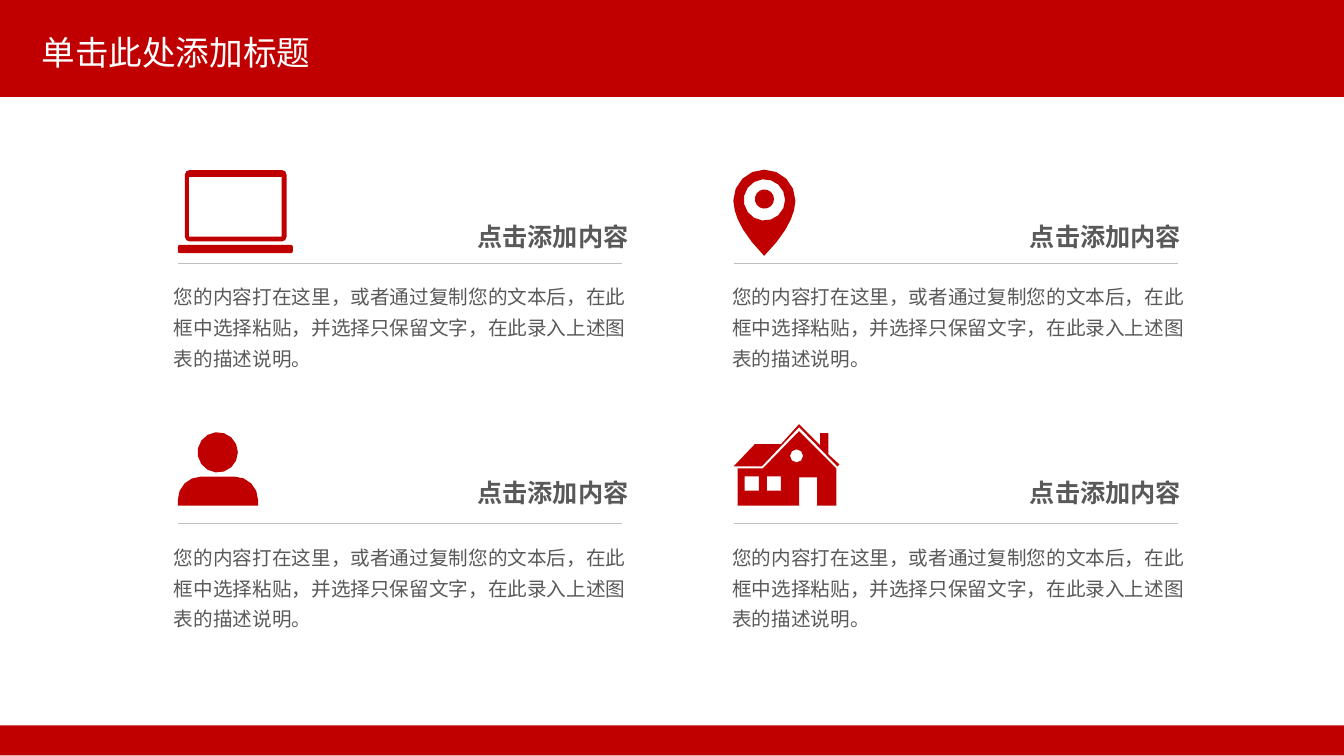
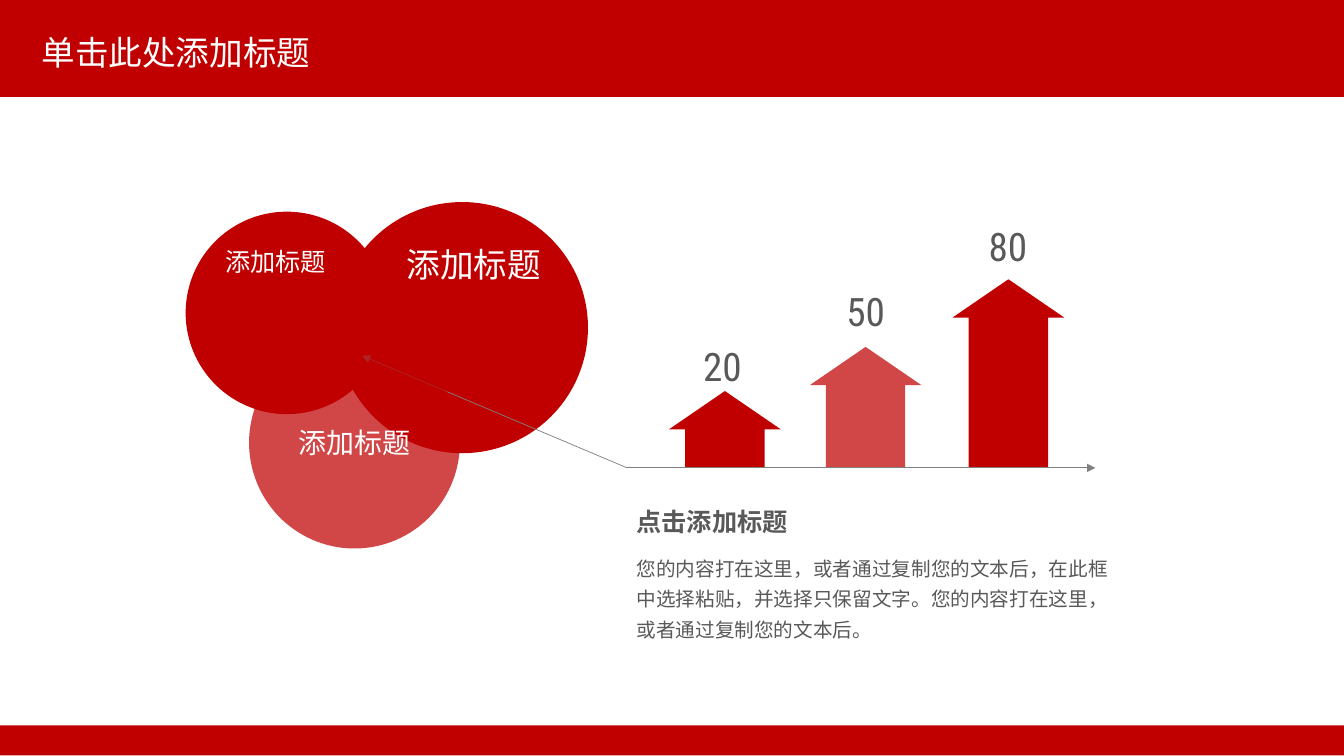
from math import ceil, cos, radians, sin

from lxml.etree import SubElement
from pptx import Presentation
from pptx.dml.color import RGBColor
from pptx.enum.lang import MSO_LANGUAGE_ID as Lang
from pptx.enum.shapes import MSO_CONNECTOR, MSO_SHAPE as Preset
from pptx.enum.text import MSO_ANCHOR as Anchor, MSO_AUTO_SIZE as AutoSize, PP_ALIGN as Align
from pptx.oxml.ns import qn
from pptx.util import Pt

CELL = 76200
COLUMNS, ROWS = 160, 90
RED, WHITE, GREY, RULE, AXIS = "C00000", "FFFFFF", "595959", "BFBFBF", "808080"
CJK, LATIN, DIGITS, ROUND = "Noto Sans CJK SC", "Montserrat", "Roboto Condensed", "TeX Gyre Adventor"
LINE = MSO_CONNECTOR.STRAIGHT
PALE = 72


def draw(slide, kind, box, colour=None, alpha=100):
    lengths = [round(CELL * cells) for cells in box]
    if kind is None:
        return slide.shapes.add_textbox(*lengths)
    if kind is LINE:
        line = slide.shapes.add_connector(LINE, *lengths)
        line.line.color.rgb = RGBColor.from_string(colour)
        line.line.width = Pt(0.5)
        SubElement(line.element.spPr, qn("a:effectLst"))
        return line
    shape = slide.shapes.add_shape(kind, *lengths)
    shape.shadow.inherit = False
    shape.fill.solid()
    shape.fill.fore_color.rgb = RGBColor.from_string(colour)
    shape.line.fill.background()
    if alpha < 100:
        tint = shape.element.spPr.find(".//" + qn("a:srgbClr"))
        SubElement(tint, qn("a:alpha"), val=str(alpha * 1000))
    return shape


def write(shape, text, size, colour=GREY, face=CJK, bold=False, align=Align.LEFT,
          anchor=Anchor.TOP, spacing=1.0, wrap=True):
    frame = shape.text_frame
    frame.text = text
    frame.word_wrap = wrap
    frame.auto_size = AutoSize.NONE
    frame.vertical_anchor = anchor
    paragraph = frame.paragraphs[0]
    paragraph.alignment = align
    paragraph.line_spacing = spacing
    font = paragraph.font
    font.size = Pt(size)
    font.bold = bold
    font.name = face
    font.language_id = Lang.SIMPLIFIED_CHINESE
    font.color.rgb = RGBColor.from_string(colour)


prs = Presentation()
prs.slide_width, prs.slide_height = COLUMNS * CELL, ROWS * CELL
layout = prs.slide_layouts[5]
for spare in list(layout.placeholders)[1:]:
    spare.element.getparent().remove(spare.element)
heading = layout.placeholders[0]
heading.left, heading.top, heading.width, heading.height = (
    round(CELL * cells) for cells in (3.75, 2.5, 138, 7.9))

features, growth = [prs.slides.add_slide(layout) for _ in range(2)]
bands = [draw(features, Preset.RECTANGLE, (0, top, COLUMNS, height), RED)
         for top, height in ((0, 11.55), (86.35, 3.58))]
for band in bands:
    layout.shapes.element.insert(2, band.element)
for slide in (features, growth):
    write(slide.shapes.title, "单击此处添加标题", 24, WHITE, LATIN, anchor=Anchor.MIDDLE, spacing=0.9)

laptop = [
    [(0.25, -1.9, 0.25, 180, 270), (13.45, -1.9, 0.25, 270, 360),
     (13.45, -1.4, 0.25, 0, 90), (0.25, -1.4, 0.25, 90, 180)],
    [(1.4, -10.5, 0.55, 180, 270), (12.4, -10.5, 0.55, 270, 360),
     (12.4, -3.1, 0.55, 0, 90), (1.4, -3.1, 0.55, 90, 180)],
    [(1.32, -10.25), (12.36, -10.25), (12.36, -3.12), (1.32, -3.12)],
]
pin = [
    [(3.67, -7.4, 3.7, 180, 360), (7.2, -6.24), (6.83, -5.2), (6.17, -3.95), (5.12, -2.47),
     (3.65, -0.84), (2.2, -2.47), (1.15, -3.95), (0.5, -5.2), (0.15, -6.24)],
    [(3.68, -7.5, 2.46, 0, 360)],
    [(3.68, -7.6, 1.14, 0, 360)],
]
person = [
    [(4.75, -8.4, 2.4, 0, 360)],
    [(2.75, -2.75, 2.75, 180, 270), (6.8, -2.75, 2.75, 270, 360), (9.55, -2.04), (0, -2.04)],
]
house = [
    [(12.24, -6.48), (7.8, -10.92), (3.48, -6.48), (0.48, -6.48), (0.48, -2.04),
     (7.8, -2.04), (7.8, -5.4), (9.96, -5.4), (9.96, -2.04), (12.24, -2.04)],
    [(1.32, -5.52), (3, -5.52), (3, -3.84), (1.32, -3.84)],
    [(3.96, -5.52), (5.64, -5.52), (5.64, -3.84), (3.96, -3.84)],
    [(7.5, -7.98, 0.78, 0, 360)],
    [(12.6, -6.96), (12.36, -6.72), (7.8, -11.4), (3.36, -6.72), (0, -6.72), (2.52, -9.36),
     (5.64, -9.36), (7.8, -11.76), (10.32, -9.24), (10.32, -10.68), (11.28, -10.68), (11.28, -8.16)],
]

feature_text = "您的内容打在这里，或者通过复制您的文本后，在此框中选择粘贴，并选择只保留文字，在此录入上述图表的描述说明。"
feature_columns = [(21.17, 55.4, 19.53), (87.33, 121.2, 86)]
feature_rows = [(31.3, 25.7, 32.55), (62.25, 56.2, 63.6)]
for icons, (rule_y, title_y, body_y) in zip(((laptop, pin), (person, house)), feature_rows):
    for icon, (rule_x, title_x, body_x) in zip(icons, feature_columns):
        outline = None
        for contour in icon:
            points = []
            for part in contour:
                x, y, radius, start, end = (*part, 0, 0, 0)[:5]
                steps = ceil((end - start) / (24 if radius > 1 else 45))
                for step in range(steps + 1):
                    angle = radians(start + (end - start) * step / max(steps, 1))
                    points.append((round(CELL * (rule_x + x + radius * cos(angle))),
                                   round(CELL * (rule_y + y + radius * sin(angle)))))
            if outline is None:
                outline = features.shapes.build_freeform(*points[0])
            else:
                outline.move_to(*points[0])
            outline.add_line_segments(points[1:], close=True)
        symbol = outline.convert_to_shape()
        symbol.shadow.inherit = False
        symbol.fill.solid()
        symbol.fill.fore_color.rgb = RGBColor.from_string(RED)
        symbol.line.fill.background()

        draw(features, LINE, (rule_x, rule_y, rule_x + 52.87, rule_y), RULE)
        write(draw(features, None, (title_x, title_y, 20.6, 4.8)), "点击添加内容", 18, bold=True,
              align=Align.RIGHT, anchor=Anchor.MIDDLE, wrap=False)
        write(draw(features, None, (body_x, body_y, 56.4, 12.2)), feature_text, 14, spacing=1.3)

baseline = 55.7
bars = [("20", 79.65, 9.15, 82.2, 40.2, 100),
        ("50", 96.4, 14.4, 99.25, 33.65, PALE),
        ("80", 113.4, 22.45, 116.2, 25.9, 100)]
for value, left, height, label_x, label_y, alpha in bars:
    arrow = draw(growth, Preset.UP_ARROW, (left, baseline - height, 13.3, height), RED, alpha)
    arrow.adjustments[0] = 0.71
    arrow.adjustments[1] = 4.56 / min(13.3, height)
    write(draw(growth, None, (label_x, label_y, 7.6, 6.8)), value, 28, face=DIGITS,
          align=Align.CENTER, anchor=Anchor.MIDDLE, wrap=False)

for box, size, align in (((22.1, 25.2, 24.1, 24.1), 18, Align.LEFT),
                         ((40.05, 24.05, 29.95, 29.9), 24, Align.RIGHT)):
    write(draw(growth, Preset.OVAL, box, RED), "添加标题", size, WHITE, align=align)

for tip in ((43.1, 42.35), (130.4, baseline)):
    pointer = draw(growth, LINE, (74.65, baseline, *tip), AXIS)
    SubElement(pointer.element.spPr.find(qn("a:ln")), qn("a:tailEnd"), type="triangle")

write(draw(growth, None, (74.6, 60.4, 36.6, 4.1)), "点击添加标题", 18, face=ROUND, bold=True, spacing=0.8)
write(draw(growth, None, (74.6, 64.85, 60.4, 12.2)),
      "您的内容打在这里，或者通过复制您的文本后，在此框中选择粘贴，并选择只保留文字。您的内容打在这里，或者通过复制您的文本后。",
      14, spacing=1.3)
write(draw(growth, Preset.OVAL, (29.65, 40.1, 25.1, 25.2), RED, PALE), "添加标题", 20, WHITE,
      align=Align.CENTER, anchor=Anchor.MIDDLE)

prs.save("out.pptx")
